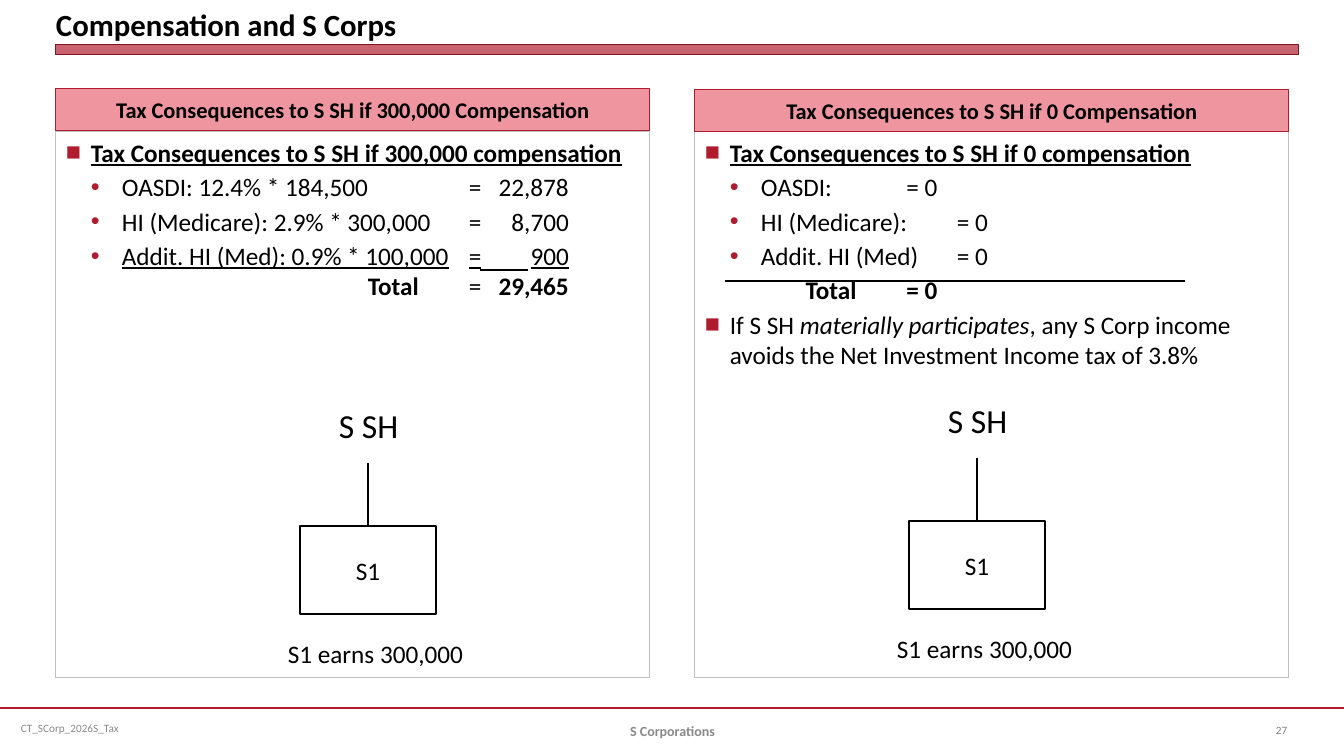
from lxml.etree import SubElement
from pptx import Presentation
from pptx.dml.color import RGBColor
from pptx.enum.shapes import MSO_CONNECTOR, MSO_SHAPE
from pptx.enum.text import MSO_ANCHOR, PP_ALIGN
from pptx.oxml.ns import qn
from pptx.util import Emu, Pt

SCALE = 12192000 / 1344
FONT = "Calibri"
COLORS = {
    "black": "000000", "white": "FFFFFF", "red": "B01C2E", "dark_red": "821522",
    "pink": "EE95A0", "border": "C0C0C0", "footer": "898989", "number": "808080",
}
BODY = {"size": Pt(18)}
BOLD = {"size": Pt(18), "bold": True}
ITALIC = {"size": Pt(18), "italic": True}
UNDERLINED = {"size": Pt(18), "underline": True}
HEADING = {"size": Pt(18), "bold": True, "underline": True}
BULLETS = {"main": ("■", 25, 25), "sub": ("•", 56, 31)}
AMOUNT_TABS = [(403, "l"), (503, "r")]
TOTAL_TABS = [(302, "l")] + AMOUNT_TABS


def px(n):
    return Emu(round(n * SCALE))


def rgb(name):
    return RGBColor.from_string(COLORS[name])


def add_run(p, text, fmt, color="black"):
    r = p.add_run()
    r.text = text
    for key, value in {"name": FONT, **fmt}.items():
        setattr(r.font, key, value)
    r.font.color.rgb = rgb(color)


def add_rect(s, box, fill=None, line="black", width=0.75):
    sp = s.shapes.add_shape(MSO_SHAPE.RECTANGLE, *map(px, box))
    sp.shadow.inherit = False
    if fill:
        sp.fill.solid()
        sp.fill.fore_color.rgb = rgb(fill)
    else:
        sp.fill.background()
    sp.line.color.rgb = rgb(line)
    sp.line.width = Pt(width)
    return sp


def set_label(sp, text, fmt, color="black", align=PP_ALIGN.CENTER,
              anchor=MSO_ANCHOR.MIDDLE, wrap=True):
    tf = sp.text_frame
    tf.word_wrap = wrap
    tf.vertical_anchor = anchor
    p = tf.paragraphs[0]
    p.alignment = align
    add_run(p, text, fmt, color)


def add_text(s, box, text, fmt, **options):
    sp = s.shapes.add_textbox(*map(px, box))
    set_label(sp, text, fmt, **options)


def add_line(s, start, end, color="black", width=1):
    line = s.shapes.add_connector(MSO_CONNECTOR.STRAIGHT, *map(px, start + end))
    line.line.color.rgb = rgb(color)
    line.line.width = Pt(width)
    SubElement(line.element.spPr, qn("a:effectLst"))
    return line


def format_paragraph(p, bullet, tabs, space):
    p.alignment = PP_ALIGN.LEFT
    p.space_before = Pt(space)
    pPr = p._p.get_or_add_pPr()
    if bullet:
        char, margin, hang = BULLETS[bullet]
        pPr.set("marL", str(px(margin)))
        pPr.set("indent", str(-px(hang)))
        color = SubElement(pPr, qn("a:buClr"))
        SubElement(color, qn("a:srgbClr"), val=COLORS["red"])
        SubElement(pPr, qn("a:buFont"), typeface="Arial")
        SubElement(pPr, qn("a:buChar"), char=char)
    if tabs:
        tab_list = SubElement(pPr, qn("a:tabLst"))
        for pos, align in tabs:
            SubElement(tab_list, qn("a:tab"), pos=str(px(pos)), algn=align)


def add_panel(s, x, header_y, title, paragraphs):
    body = add_rect(s, (x, 132, 594, 546), "white", "border")
    header = add_rect(s, (x, header_y, 594, 42), "pink", "red")
    set_label(header, title, {"size": Pt(16), "bold": True})
    tf = body.text_frame
    tf.word_wrap = True
    tf.vertical_anchor = MSO_ANCHOR.TOP
    for i, (bullet, tabs, space, runs) in enumerate(paragraphs):
        p = tf.add_paragraph() if i else tf.paragraphs[0]
        format_paragraph(p, bullet, tabs, space)
        for text, fmt in runs:
            add_run(p, text, fmt)


def add_ownership(s, x, y):
    add_text(s, (x + 29, y - 126, 81, 50), "S SH", {"size": Pt(24)},
             align=PP_ALIGN.LEFT, anchor=MSO_ANCHOR.TOP, wrap=False)
    corp = add_rect(s, (x, y, 136, 88), width=2)
    set_label(corp, "S1", BODY)
    stem = add_line(s, (x + 68, y - 63), (x + 68, y))
    stem.end_connect(corp, 0)
    add_text(s, (x - 22, y + 107, 202, 40), "S1 earns 300,000", BODY,
             align=PP_ALIGN.LEFT, anchor=MSO_ANCHOR.TOP)


def add_title(s, text):
    sp = s.shapes.title
    sp.left, sp.top, sp.width, sp.height = map(px, (56, 0, 1243, 43))
    tf = sp.text_frame
    for side in ("left", "top", "right", "bottom"):
        setattr(tf, f"margin_{side}", 0)
    set_label(sp, text, {"size": Pt(22), "bold": True},
              align=PP_ALIGN.LEFT, anchor=MSO_ANCHOR.BOTTOM)
    bar = add_rect(s, (56, 45, 1243, 10), "red", "dark_red", 0)
    color = bar.element.spPr.find(qn("a:solidFill"))[0]
    SubElement(color, qn("a:alpha"), val="69000")


def add_footer(s):
    add_line(s, (0, 708), (1344, 708), "red", 1.25)
    add_text(s, (11, 708, 347, 40), "CT_SCorp_2026S_Tax", {"size": Pt(8)},
             color="footer", align=PP_ALIGN.LEFT)
    add_text(s, (460, 711, 425, 40), "S Corporations",
             {"size": Pt(10), "bold": True}, color="footer")
    add_text(s, (1266, 710, 68, 40), "27", {"size": Pt(8)},
             color="number", align=PP_ALIGN.LEFT)


def main():
    prs = Presentation()
    prs.slide_width, prs.slide_height = px(1344), px(756)
    s = prs.slides.add_slide(prs.slide_layouts[5])
    add_title(s, "Compensation and S Corps")
    add_footer(s)

    paid = [("main", None, 0, [("Tax Consequences to S SH if 300,000 compensation", HEADING)])]
    for text, fmt in [
        ("OASDI: 12.4% * 184,500\t=\t22,878", BODY),
        ("HI (Medicare): 2.9% * 300,000\t=\t8,700", BODY),
        ("Addit. HI (Med): 0.9% * 100,000\t=\t900", UNDERLINED),
    ]:
        paid.append(("sub", AMOUNT_TABS, 3, [(text, fmt)]))
    paid.append((None, TOTAL_TABS, 0.2,
                 [("\tTotal", BOLD), ("\t=\t", BODY), ("29,465", BOLD)]))
    add_panel(s, 56, 89, "Tax Consequences to S SH if 300,000 Compensation", paid)
    add_line(s, (480, 270), (528, 270), width=1.5)

    unpaid = [("main", None, 0, [("Tax Consequences to S SH if 0 compensation", HEADING)])]
    for text in ["OASDI:\t\t= 0", "HI (Medicare):\t= 0", "Addit. HI (Med)\t= 0"]:
        unpaid.append(("sub", None, 3, [(text, BODY)]))
    unpaid.append((None, None, 3, [("\t\tTotal\t= 0", BOLD)]))
    unpaid.append(("main", None, 3, [
        ("If S SH ", BODY), ("materially participates", ITALIC),
        (", any S Corp income avoids the Net Investment Income tax of 3.8%", BODY)]))
    add_panel(s, 695, 90, "Tax Consequences to S SH if 0 Compensation", unpaid)
    add_line(s, (725, 281), (1185, 281), width=1.5)

    for x, y in [(300, 526), (909, 521)]:
        add_ownership(s, x, y)
    prs.save("out.pptx")


if __name__ == "__main__":
    main()
